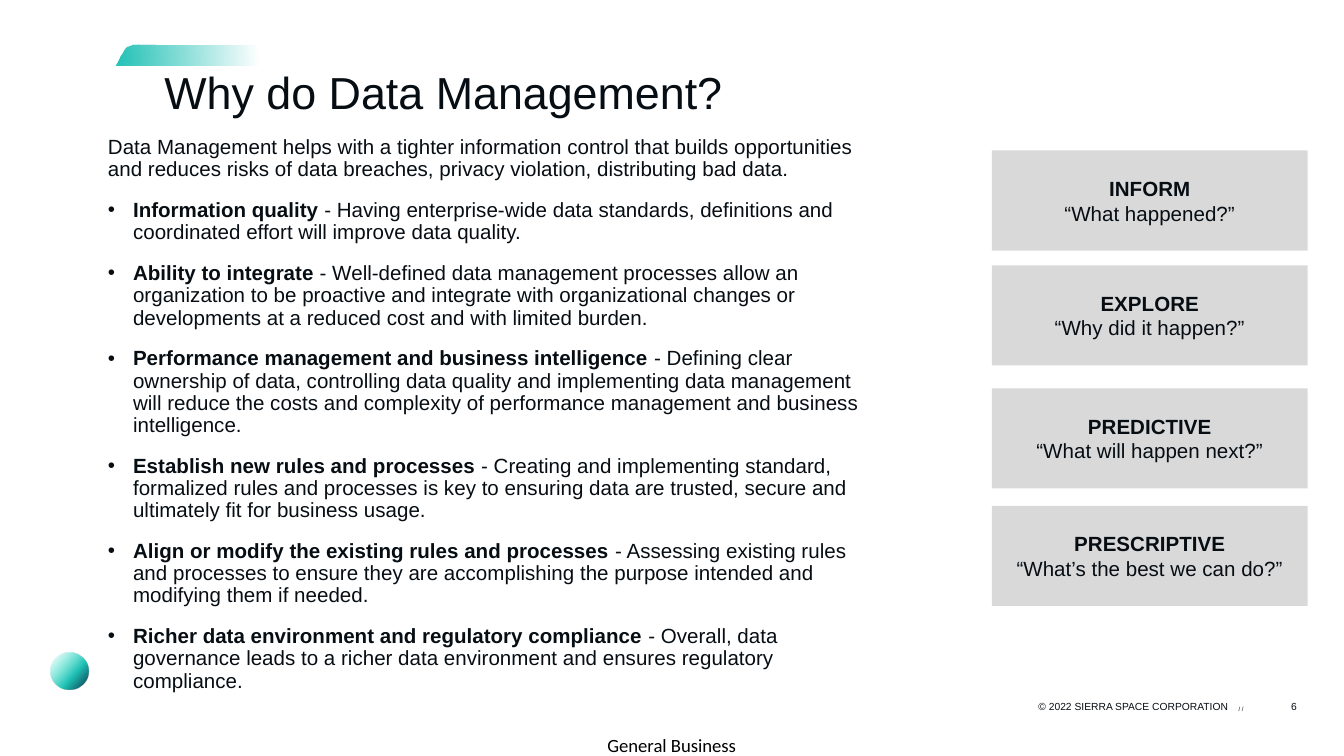
from collections import namedtuple
from dataclasses import dataclass

from pptx import Presentation
from pptx.dml.color import RGBColor
from pptx.enum.shapes import MSO_SHAPE
from pptx.enum.text import MSO_ANCHOR, PP_ALIGN
from pptx.oxml import parse_xml
from pptx.oxml.ns import nsdecls, qn
from pptx.util import Inches, Pt


@dataclass(frozen=True)
class Theme:
    ink: str = "060D13"
    black: str = "000000"
    panel: str = "D9D9D9"
    mint: str = "56F1D7"
    teal: str = "1FC1B5"
    navy: str = "0B3049"
    font: str = "Arial"
    label_font: str = "Calibri"
    title: float = 24
    body: float = 11
    label: float = 10
    footer: float = 5.5


THEME = Theme()
UNIT = 0.1  # inches per grid column and row
COLS, ROWS = 100, 56.25
BULLET_INDENT = 1.87  # columns

Box = namedtuple("Box", "col row cols rows")

INTRO = ("Data Management helps with a tighter information control that builds opportunities "
         "and reduces risks of data breaches, privacy violation, distributing bad data.")
REASONS = [
    ("Information quality", "Having enterprise-wide data standards, definitions and "
     "coordinated effort will improve data quality."),
    ("Ability to integrate", "Well-defined data management processes allow an organization "
     "to be proactive and integrate with organizational changes or developments at a reduced "
     "cost and with limited burden."),
    ("Performance management and business intelligence", "Defining clear ownership of data, "
     "controlling data quality and implementing data management will reduce the costs and "
     "complexity of performance management and business intelligence."),
    ("Establish new rules and processes", "Creating and implementing standard, formalized "
     "rules and processes is key to ensuring data are trusted, secure and ultimately fit for "
     "business usage."),
    ("Align or modify the existing rules and processes", "Assessing existing rules and "
     "processes to ensure they are accomplishing the purpose intended and modifying them if "
     "needed."),
    ("Richer data environment and regulatory compliance", "Overall, data governance leads to "
     "a richer data environment and ensures regulatory compliance."),
]
# Row offset within the panel column, heading, question
STAGES = [
    (0, "INFORM", "“What happened?”"),
    (8.55, "EXPLORE", "“Why did it happen?”"),
    (17.7, "PREDICTIVE", "“What will happen next?”"),
    (26.45, "PRESCRIPTIVE", "“What’s the best we can do?”"),
]


def grid(units):
    return Inches(units * UNIT)


def place(box):
    return [grid(length) for length in box]


def add_run(paragraph, text, size=THEME.body, bold=False, color=THEME.ink,
            font=THEME.font, **attributes):
    """Add formatted text; extra keywords become run attributes such as spc."""
    run = paragraph.add_run()
    run.text = text
    run.font.size, run.font.bold, run.font.name = Pt(size), bold, font
    run.font.color.rgb = RGBColor.from_string(color)
    for name, value in attributes.items():
        run.font._element.set(name, str(value))


def text_frame(slide, box, margins=None, wrap=True):
    frame = slide.shapes.add_textbox(*place(box)).text_frame
    frame.word_wrap = wrap
    if margins is not None:
        frame.margin_left = frame.margin_right = grid(margins)
        frame.margin_top = frame.margin_bottom = grid(margins)
    return frame


def gradient(shape, stops, direction):
    """Fill with (position %, colour, opacity %) stops along a direction element."""
    shape.shadow.inherit = False
    shape.line.fill.background()
    shape.fill.solid()
    stop_xml = "".join(
        f'<a:gs pos="{position * 1000}"><a:srgbClr val="{color}">'
        f'<a:alpha val="{opacity * 1000}"/></a:srgbClr></a:gs>'
        for position, color, opacity in stops)
    solid = shape._element.spPr.find(qn("a:solidFill"))
    solid.getparent().replace(solid, parse_xml(
        f'<a:gradFill {nsdecls("a")} rotWithShape="1"><a:gsLst>{stop_xml}</a:gsLst>'
        f'{direction}</a:gradFill>'))


def accent_bar(slide, box):
    # Outline as shares of the box: slanted left end with a rounded corner
    outline = [(0, 1), (1, 1), (1, 0.03), (0.14, 0.03), (0.08, 0), (0.06, 0.03),
               (0.04, 0.12), (0.03, 0.28), (0.02, 0.5)]
    points = [(grid(box.col + x * box.cols), grid(box.row + y * box.rows))
              for x, y in outline]
    builder = slide.shapes.build_freeform(*points[0])
    builder.add_line_segments(points[1:], close=True)
    gradient(builder.convert_to_shape(),
             [(0, THEME.teal, 100), (100, THEME.teal, 0)],
             '<a:path path="circle"><a:fillToRect l="-20000" t="62000" '
             'r="120000" b="38000"/></a:path>')


def orb(slide, box):
    ball = slide.shapes.add_shape(MSO_SHAPE.ROUNDED_RECTANGLE, *place(box))
    ball.adjustments[0] = 0.5
    gradient(ball, [(0, THEME.mint, 0), (61, THEME.teal, 100), (100, THEME.navy, 100)],
             '<a:lin ang="2400000" scaled="0"/>')


def title(slide, box):
    heading = text_frame(slide, box).paragraphs[0]
    heading.line_spacing = 0.9
    add_run(heading, "Why do Data Management?", size=THEME.title)


def reasons(slide, box):
    frame = text_frame(slide, box)
    intro = frame.paragraphs[0]
    intro.line_spacing = 0.9
    add_run(intro, INTRO)
    for name, detail in REASONS:
        reason = frame.add_paragraph()
        reason.line_spacing, reason.space_before = 0.9, Pt(10)
        properties = reason._p.get_or_add_pPr()
        properties.set("marL", str(grid(BULLET_INDENT)))
        properties.set("indent", str(-grid(BULLET_INDENT)))
        properties.append(parse_xml(f'<a:buFont {nsdecls("a")} typeface="{THEME.font}"/>'))
        properties.append(parse_xml(f'<a:buChar {nsdecls("a")} char="•"/>'))
        add_run(reason, f"{name} ", bold=True)
        add_run(reason, f"- {detail}")


def stage_panels(slide, box):
    for offset, name, question in STAGES:
        panel = slide.shapes.add_shape(
            MSO_SHAPE.RECTANGLE, *place(Box(box.col, box.row + offset, box.cols, 7.45)))
        panel.shadow.inherit = False
        panel.fill.solid()
        panel.fill.fore_color.rgb = RGBColor.from_string(THEME.panel)
        panel.line.fill.background()
        frame = panel.text_frame
        frame.word_wrap, frame.vertical_anchor = True, MSO_ANCHOR.MIDDLE
        lines = [frame.paragraphs[0], frame.add_paragraph()]
        for line, text, bold in zip(lines, (name, question), (True, False)):
            line.alignment = PP_ALIGN.CENTER
            add_run(line, text, bold=bold)


def footer(slide, box):
    # Copyright, with a widened space before the slashes
    notice = text_frame(slide, Box(box.col + 30.5, box.row + 0.5, 18.5, 1.7),
                        margins=0.3).paragraphs[0]
    notice.alignment = PP_ALIGN.CENTER
    add_run(notice, "© 2022 SIERRA SPACE CORPORATION", size=THEME.footer)
    add_run(notice, " ", size=THEME.footer, spc=400)
    add_run(notice, "/ / ", size=THEME.footer, baseline=-7000)

    # Page number
    frame = text_frame(slide, Box(box.col + 49.5, box.row, 2.5, 2.5), margins=0.7, wrap=False)
    frame.vertical_anchor = MSO_ANCHOR.MIDDLE
    frame.paragraphs[0].alignment = PP_ALIGN.RIGHT
    add_run(frame.paragraphs[0], "6", size=THEME.footer)

    # Classification label
    label = text_frame(slide, Box(box.col, box.row + 3.3, 9.9, 1.7), margins=0).paragraphs[0]
    add_run(label, "General Business", size=THEME.label, color=THEME.black,
            font=THEME.label_font)


def main():
    deck = Presentation()
    deck.slide_width, deck.slide_height = grid(COLS), grid(ROWS)
    slide = deck.slides.add_slide(deck.slide_layouts[6])
    accent_bar(slide, Box(8.6, 3.3, 21.3, 1.6))
    orb(slide, Box(3.8, 48.55, 2.75, 2.75))
    reasons(slide, Box(7.05, 9.7, 58.7, 43.5))
    title(slide, Box(11.25, 4.75, 61.8, 5.4))
    stage_panels(slide, Box(73.8, 11.2, 23.5, 33.8))
    footer(slide, Box(45.2, 51.3, 52, 5))
    deck.save("out.pptx")


if __name__ == "__main__":
    main()
